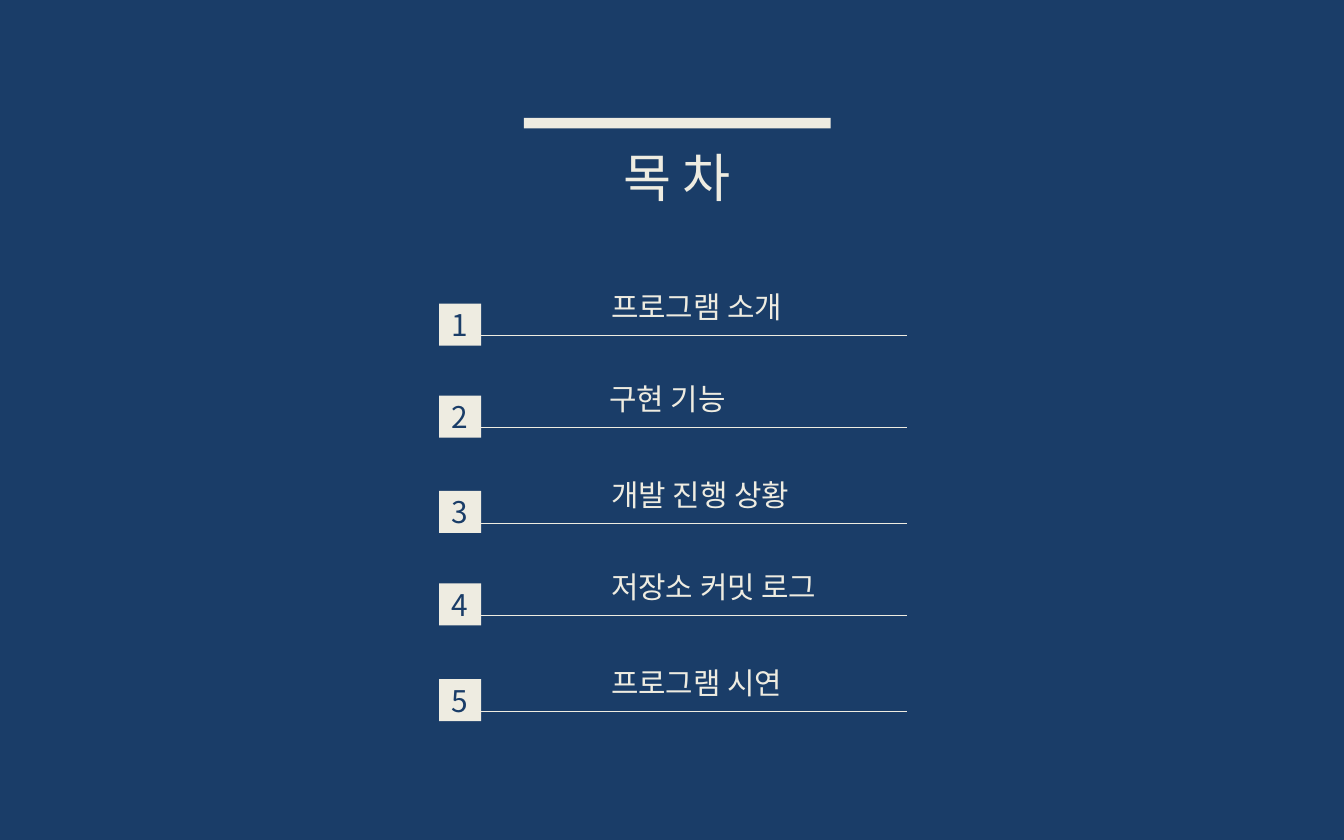
from lxml import etree
from pptx import Presentation
from pptx.dml.color import RGBColor
from pptx.enum.shapes import MSO_CONNECTOR, MSO_SHAPE
from pptx.enum.text import MSO_ANCHOR, MSO_AUTO_SIZE, PP_ALIGN
from pptx.oxml.ns import qn
from pptx.util import Pt

RECTANGLE = MSO_SHAPE.RECTANGLE
STRAIGHT = MSO_CONNECTOR.STRAIGHT
LEFT, CENTER = PP_ALIGN.LEFT, PP_ALIGN.CENTER
MIDDLE = MSO_ANCHOR.MIDDLE
GROW = MSO_AUTO_SIZE.SHAPE_TO_FIT_TEXT

BLANK_LAYOUT = 6
SLIDE_WIDTH, SLIDE_HEIGHT = 720, 450
TITLE_LEFT, TITLE_WIDTH = 280.7, 164.3
MARKER_LEFT, MARKER_SIZE = 235.2, 22.6
RULE_LEFT, RULE_RIGHT = 253.4, 486
LABEL_LEFT, LABEL_WIDTH, LABEL_HEIGHT = 320.4, 228.2, 26.6
RULE_DROP, LABEL_RISE = 17.2, 11.3

# heading, top of its number marker, shift of the label to the right
CONTENTS = [
    ("프로그램 소개", 162.6, 0),
    ("구현 기능", 211.9, -1.1),
    ("개발 진행 상황", 262.9, 0),
    ("저장소 커밋 로그", 312.5, 0),
    ("프로그램 시연", 363.8, 0),
]


def color(hex_code):
    return RGBColor.from_string(hex_code)


def write(frame, text, *, font, ink, size=16, align=LEFT, spacing=0):
    """Put one formatted run into the frame; spacing is between letters, in points."""
    paragraph = frame.paragraphs[0]
    paragraph.alignment = align
    run = paragraph.add_run()
    run.text = text
    run.font.name = font
    run.font.size = Pt(size)
    run.font.color.rgb = color(ink)
    properties = run.font._element
    etree.SubElement(properties, qn("a:ea")).set("typeface", font)
    if spacing:
        properties.set("spc", str(spacing * 100))


class Deck:
    """Holds the style and the current slide."""

    navy = "1A3D68"
    cream = "EEECE1"
    font = "Noto Sans CJK KR"

    def __init__(self):
        self.presentation = Presentation()
        self.presentation.slide_width = Pt(SLIDE_WIDTH)
        self.presentation.slide_height = Pt(SLIDE_HEIGHT)
        self.slide = None

    def new_slide(self):
        layout = self.presentation.slide_layouts[BLANK_LAYOUT]
        self.slide = self.presentation.slides.add_slide(layout)
        background = self.slide.background.fill
        background.solid()
        background.fore_color.rgb = color(self.navy)

    def block(self, left, top, width, height):
        block = self.slide.shapes.add_shape(
            RECTANGLE, Pt(left), Pt(top), Pt(width), Pt(height))
        block.shadow.inherit = False
        block.fill.solid()
        block.fill.fore_color.rgb = color(self.cream)
        block.line.fill.background()
        return block

    def marker(self, number, left, top, size):
        frame = self.block(left, top, size, size).text_frame
        frame.margin_left = frame.margin_right = 0
        frame.margin_top = frame.margin_bottom = 0
        frame.vertical_anchor = MIDDLE
        write(frame, str(number), font=self.font, ink=self.navy, align=CENTER)

    def rule(self, left, right, height):
        rule = self.slide.shapes.add_connector(
            STRAIGHT, Pt(left), Pt(height), Pt(right), Pt(height))
        rule.line.color.rgb = color(self.cream)
        rule.line.width = Pt(0.25)
        etree.SubElement(rule._element.spPr, qn("a:effectLst"))

    def label(self, text, left, top, width, height, **text_format):
        box = self.slide.shapes.add_textbox(
            Pt(left), Pt(top), Pt(width), Pt(height))
        box.text_frame.word_wrap = True
        box.text_frame.auto_size = GROW
        write(box.text_frame, text, font=self.font, ink=self.cream, **text_format)


def main():
    deck = Deck()
    deck.new_slide()

    deck.block(TITLE_LEFT, 63.1, TITLE_WIDTH, 5.7)
    deck.label("목차", TITLE_LEFT, 74.2, TITLE_WIDTH, 41,
               size=28, align=CENTER, spacing=6)

    for number, (heading, top, shift) in enumerate(CONTENTS, start=1):
        deck.marker(number, MARKER_LEFT, top, MARKER_SIZE)
        deck.rule(RULE_LEFT, RULE_RIGHT, top + RULE_DROP)
        deck.label(heading, LABEL_LEFT + shift, top - LABEL_RISE,
                   LABEL_WIDTH, LABEL_HEIGHT)

    deck.presentation.save("out.pptx")


if __name__ == "__main__":
    main()
